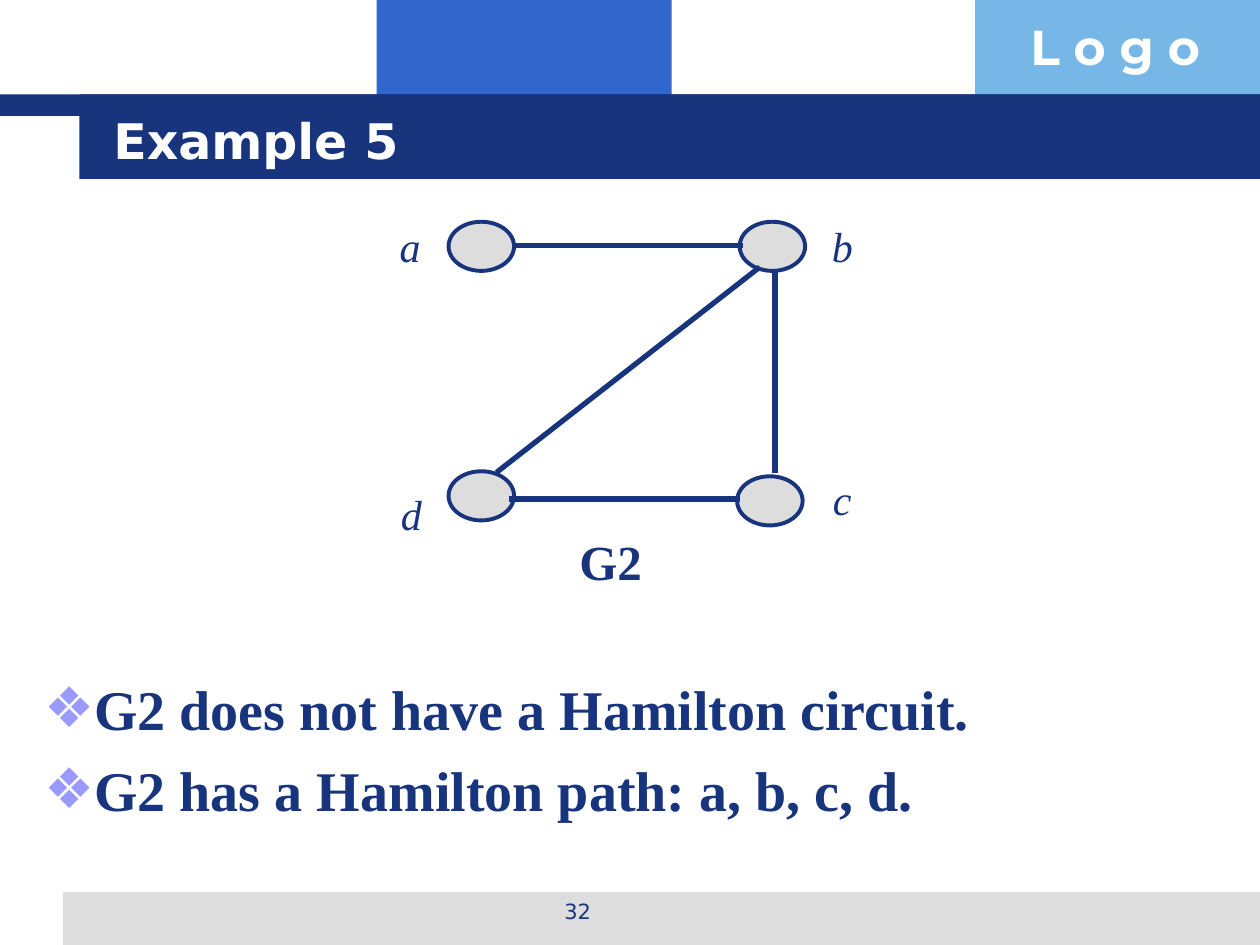
from lxml.etree import SubElement
from pptx import Presentation
from pptx.dml.color import RGBColor
from pptx.enum.shapes import MSO_CONNECTOR, MSO_SHAPE
from pptx.enum.text import MSO_ANCHOR, MSO_AUTO_SIZE, PP_ALIGN
from pptx.oxml.ns import qn
from pptx.util import Inches, Pt

COLORS = {
    "navy": "17347D",
    "blue": "3366CC",
    "sky": "77B7E7",
    "gray": "DDDDDD",
    "lilac": "9999FF",
    "white": "FFFFFF",
}
SERIF, SANS = "Times New Roman", "DejaVu Sans"


def rgb(name):
    return RGBColor.from_string(COLORS[name])


class SlideBuilder:
    def __init__(self, slide):
        self.s = slide

    def styled_run(self, p, text, color="navy", **font):
        r = p.add_run()
        r.text = text
        r.font.color.rgb = rgb(color)
        for name, value in font.items():
            setattr(r.font, name, value)

    def shape(self, kind, box, fill, line=None):
        sp = self.s.shapes.add_shape(kind, *map(Inches, box))
        sp.shadow.inherit = False
        sp.fill.solid()
        sp.fill.fore_color.rgb = rgb(fill)
        if line:
            sp.line.color.rgb = rgb(line)
            sp.line.width = Pt(2.25)
        else:
            sp.line.fill.background()

    def edge(self, x1, y1, x2, y2):
        cn = self.s.shapes.add_connector(
            MSO_CONNECTOR.STRAIGHT, *map(Inches, (x1, y1, x2, y2)))
        cn.line.color.rgb = rgb("navy")
        cn.line.width = Pt(3)
        SubElement(cn.element.spPr, qn("a:effectLst"))

    def text(self, box, text, frame=None, align=PP_ALIGN.LEFT, **font):
        tf = self.s.shapes.add_textbox(*map(Inches, box)).text_frame
        for name, value in {"word_wrap": True, **(frame or {})}.items():
            setattr(tf, name, value)
        p = tf.paragraphs[0]
        p.alignment = align
        self.styled_run(p, text, **font)

    def placeholder(self, sp, box, anchor):
        """Place a placeholder in front of the shapes drawn so far."""
        sp.element.getparent().append(sp.element)
        for name, value in zip(("left", "top", "width", "height"), box):
            setattr(sp, name, Inches(value))
        tf = sp.text_frame
        tf.auto_size = MSO_AUTO_SIZE.NONE
        tf.vertical_anchor = anchor
        return tf

    def title(self, box, text):
        tf = self.placeholder(self.s.shapes.title, box, MSO_ANCHOR.MIDDLE)
        p = tf.paragraphs[0]
        p.alignment = PP_ALIGN.LEFT
        self.styled_run(p, text, "white", name=SANS, size=Pt(28), bold=True)

    def bullets(self, box, items):
        tf = self.placeholder(self.s.placeholders[1], box, MSO_ANCHOR.TOP)
        tf.margin_top = Inches(0.1)
        for i, item in enumerate(items):
            p = tf.add_paragraph() if i else tf.paragraphs[0]
            p.space_before = Pt(8 if i else 0)
            pPr = p._p.get_or_add_pPr()
            pPr.set("marL", str(Inches(0.38)))
            pPr.set("indent", str(Inches(-0.38)))
            color = SubElement(pPr, qn("a:buClr"))
            SubElement(color, qn("a:srgbClr"), val=COLORS["lilac"])
            SubElement(pPr, qn("a:buChar"), char="❖")
            self.styled_run(p, item, name=SERIF, size=Pt(32), bold=True)


def main():
    prs = Presentation()
    prs.slide_width, prs.slide_height = Inches(10), Inches(7.5)
    b = SlideBuilder(prs.slides.add_slide(prs.slide_layouts[1]))

    bands = [
        ((2.99, 0, 2.34, 0.92), "blue"),
        ((7.74, 0, 2.26, 0.92), "sky"),
        ((0.5, 7.08, 9.5, 0.42), "gray"),
        ((0, 0.75, 10, 0.17), "navy"),
        ((0.63, 0.75, 9.37, 0.67), "navy"),
    ]
    for box, fill in bands:
        b.shape(MSO_SHAPE.RECTANGLE, box, fill)
    b.text((8.08, 0.08, 1.93, 0.57), "L o g o", color="white",
           name="Montserrat", size=Pt(28), bold=True)
    b.text((3.42, 7.08, 2.33, 0.35), "32", align=PP_ALIGN.CENTER,
           name=SANS, size=Pt(12))

    b.title((0.8, 0.8, 8.53, 0.62), "Example 5")
    b.bullets((0.25, 5.25, 9, 1.33), [
        "G2 does not have a Hamilton circuit.",
        "G2 has a Hamilton path: a, b, c, d.",
    ])

    # Vertex name, node corner, label box
    vertices = [
        ("a", (3.56, 1.76), (3, 1.7, 0.51, 0.5)),
        ("b", (5.87, 1.76), (6.5, 1.7, 0.37, 0.5)),
        ("c", (5.85, 3.78), (6.51, 3.71, 0.35, 0.5)),
        ("d", (3.56, 3.74), (3.08, 3.83, 0.37, 0.5)),
    ]
    label_frame = {"word_wrap": False, "vertical_anchor": MSO_ANCHOR.MIDDLE}
    for name, corner, label_box in vertices:
        b.shape(MSO_SHAPE.OVAL, (*corner, 0.52, 0.39), "gray", "navy")
        b.text(label_box, name, label_frame, PP_ALIGN.CENTER,
               name=SERIF, size=Pt(24), italic=True)

    edges = [
        (4.07, 1.95, 5.9, 1.95),
        (6.15, 2.15, 6.15, 3.75),
        (3.94, 3.75, 6.03, 2.12),
        (4.04, 3.96, 5.87, 3.96),
    ]
    for ends in edges:
        b.edge(*ends)
    b.text((4.5, 4.17, 0.83, 0.57), "G2", name=SERIF, size=Pt(28), bold=True)

    prs.save("out.pptx")


if __name__ == "__main__":
    main()
